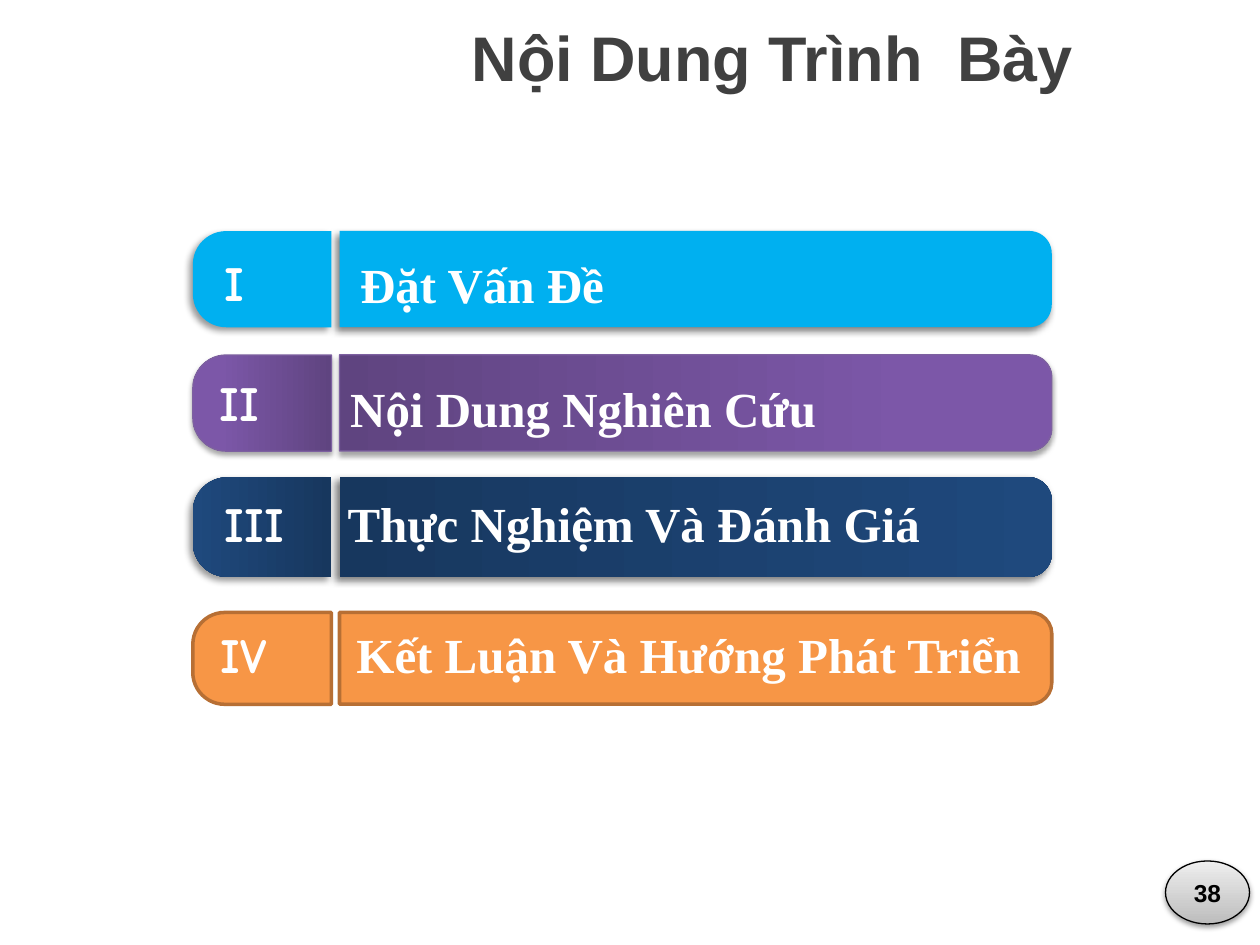
from lxml import etree
from pptx import Presentation
from pptx.dml.color import RGBColor
from pptx.enum import shapes, text
from pptx.oxml.ns import qn
from pptx.util import Pt


def rgb(value):
    return RGBColor.from_string(value)


def paint(sp, colors, line, shadow):
    """Fill with one colour, or a gradient from bottom to top ending at a given position."""
    if len(colors) == 1:
        sp.fill.solid()
        sp.fill.fore_color.rgb = rgb(colors[0])
    else:
        start, end, position = colors
        sp.fill.gradient()
        sp.fill.gradient_angle = 90
        stops = sp.fill.gradient_stops
        stops[0].color.rgb, stops[0].position = rgb(start), 0
        stops[1].color.rgb, stops[1].position = rgb(end), position
    if line:
        sp.line.color.rgb = rgb(line[0])
        sp.line.width = Pt(line[1])
    else:
        sp.line.fill.background()
    sp.shadow.inherit = False
    if shadow:
        alpha, blur, dist, angle = shadow
        effects = sp._element.spPr.find(qn("a:effectLst"))
        outer = etree.SubElement(
            effects, qn("a:outerShdw"), blurRad=str(Pt(blur)), dist=str(Pt(dist)),
            dir=str(angle * 60000), rotWithShape="0")
        color = etree.SubElement(outer, qn("a:srgbClr"), val="000000")
        etree.SubElement(color, qn("a:alpha"), val=str(alpha * 1000))


def write(tf, content, size, font, color, align):
    p = tf.paragraphs[0]
    p.alignment = align
    r = p.add_run()
    r.text = content
    r.font.size = Pt(size)
    r.font.name = font
    r.font.bold = True
    r.font.color.rgb = rgb(color)


LEFT, CENTER = text.PP_ALIGN.LEFT, text.PP_ALIGN.CENTER

prs = Presentation()
prs.slide_width, prs.slide_height = Pt(720), Pt(540)
s = prs.slides.add_slide(prs.slide_layouts[5])

title = s.shapes.title
title.left, title.top, title.width, title.height = Pt(211), Pt(7), Pt(461), Pt(51)
title.text_frame.vertical_anchor = text.MSO_ANCHOR.TOP
write(title.text_frame, "Nội Dung Trình  Bày", 36, "Arial", "404040", CENTER)

# Numeral, its centre; label, its left and top; row middle and height; colours, line, shadows
purple_shadow = (35, 3.1, 1.8, 90)
rows = [
    ("I", 134, 161, "Đặt Vấn Đề", 198.7, 141.8, 159.5, 55,
     ["00B0F0"], None, (50, 4, 3, 135), (40, 4, 3, 135)),
    ("II", 137, 229.5, "Nội Dung Nghiên Cứu", 193, 213, 230.3, 55,
     ["5F4480", "7C57A8", 0.8], ("7D60A0", 0.75), purple_shadow, purple_shadow),
    ("III", 145.5, 299, "Thực Nghiệm Và Đánh Giá", 191.5, 278.6, 301.2, 57,
     ["17375E", "1F497D", 1], None, (50, 4, 3, 135), (40, 4, 3, 135)),
    ("IV", 139, 373.5, "Kết Luận Và Hướng Phát Triển", 196.6, 353.5, 376.2, 52.5,
     ["F79646"], ("B76F34", 2), None, None),
]
for (numeral, num_x, num_y, label, label_x, label_y,
     middle, height, colors, line, bar_shadow, tab_shadow) in rows:
    # Each half is an upright shape turned so that its round end faces outwards
    for center, length, turn, rounding, shadow in (
            (397.5, 407, 90, 0.233, bar_shadow), (149.8, 79.2, 270, 0.347, tab_shadow)):
        sp = s.shapes.add_shape(
            shapes.MSO_SHAPE.ROUND_2_SAME_RECTANGLE, Pt(center - height / 2),
            Pt(middle - length / 2), Pt(height), Pt(length))
        sp.rotation = turn
        sp.adjustments[0] = rounding
        sp.adjustments[1] = 0
        paint(sp, colors, line, shadow)

    box = s.shapes.add_textbox(Pt(num_x - 30), Pt(num_y - 20.5), Pt(60), Pt(41))
    box.text_frame.vertical_anchor = text.MSO_ANCHOR.MIDDLE
    write(box.text_frame, numeral, 28, "Comic Neue", "FFFFFF", CENTER)

    box = s.shapes.add_textbox(Pt(label_x), Pt(label_y), Pt(433), Pt(41))
    box.text_frame.word_wrap = True
    write(box.text_frame, label, 28, "Times New Roman", "FFFFFF", LEFT)

badge = s.shapes.add_shape(shapes.MSO_SHAPE.OVAL, Pt(666), Pt(492), Pt(48), Pt(36))
paint(badge, ["BDBDBD", "EEEEEE", 1], ("000000", 0.75), (38, 3.1, 1.6, 90))
badge.text_frame.word_wrap = False
badge.text_frame.vertical_anchor = text.MSO_ANCHOR.MIDDLE
write(badge.text_frame, "38", 14, "Arial", "000000", CENTER)

prs.save("out.pptx")
